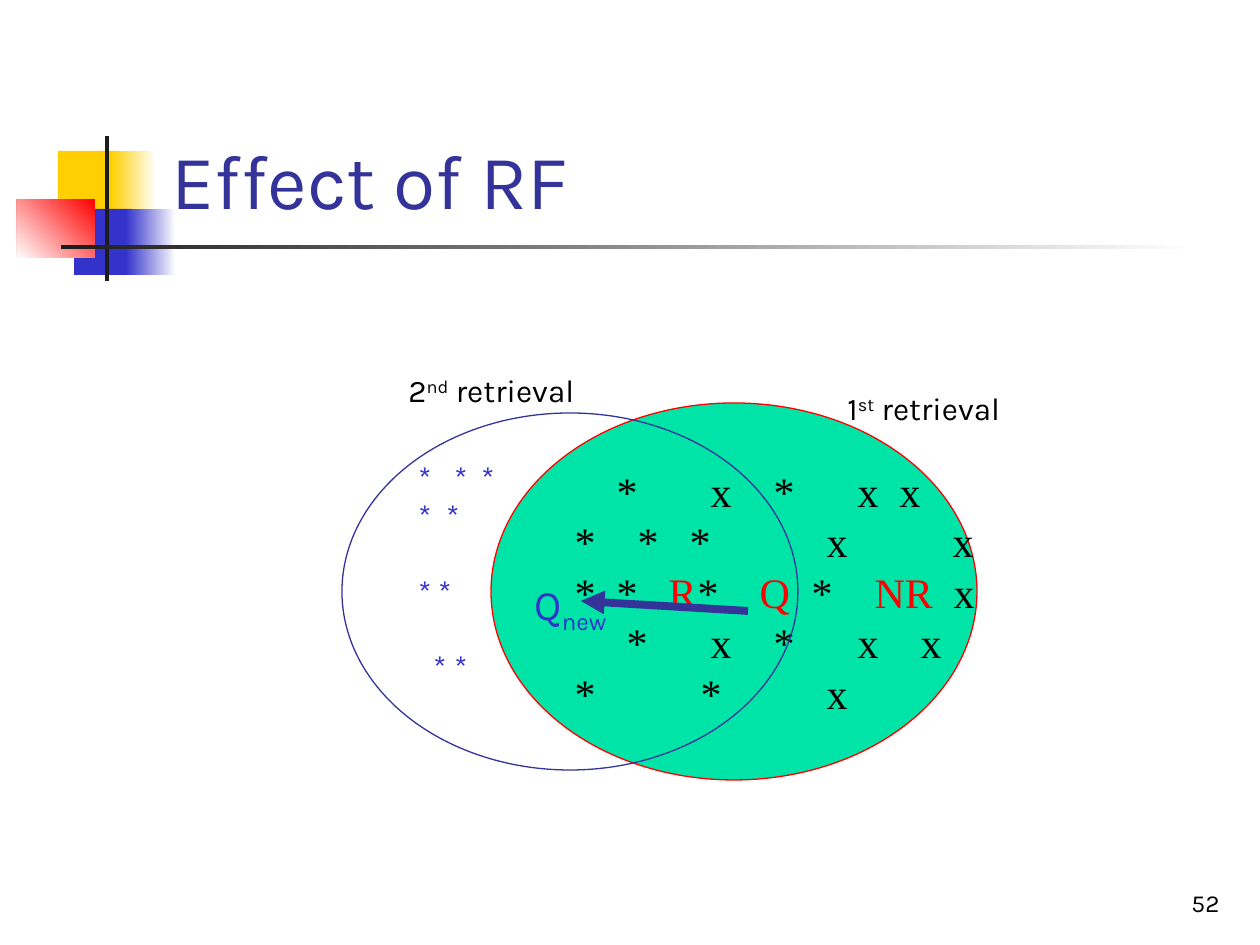
from lxml.etree import SubElement
from pptx import Presentation
from pptx.dml.color import RGBColor
from pptx.enum.shapes import MSO_CONNECTOR, MSO_SHAPE
from pptx.enum.text import MSO_ANCHOR, MSO_AUTO_SIZE, PP_ALIGN
from pptx.oxml.ns import qn
from pptx.util import Inches, Pt

PX = 7257
BLUE, NAVY, RED, BLACK, WHITE = "3333CC", "333399", "FF0000", "000000", "FFFFFF"


def color(value):
    return RGBColor.from_string(value)


def add_text(paragraph, text, size=18, fill=BLACK, font="Karla", baseline=0):
    run = paragraph.add_run()
    run.text = text
    run.font.size = Pt(size)
    run.font.name = font
    run.font.color.rgb = color(fill)
    if baseline:
        run.font._element.set("baseline", str(baseline * 1000))


presentation = Presentation()
presentation.slide_width = Inches(10)
presentation.slide_height = Inches(7.5)
slide = presentation.slides.add_slide(presentation.slide_layouts[5])
shapes = slide.shapes

decorations = [
    (58, 151, 60, 66, "FFCF01", None, None),
    (111, 151, 45, 66, "FFCF01", WHITE, 0),
    (74, 209, 58, 66, BLUE, None, None),
    (126, 209, 50, 66, BLUE, WHITE, 0),
    (17, 199, 78, 59, RED, WHITE, 225),
    (105, 136, 4, 145, "1C1C1C", None, None),
    (61, 245, 1134, 4, "1C1C1C", WHITE, 0),
]
for left, top, width, height, start, end, angle in decorations:
    shape = shapes.add_shape(MSO_SHAPE.RECTANGLE, left * PX, top * PX, width * PX, height * PX)
    shape.shadow.inherit = False
    shape.line.fill.background()
    if end:
        shape.fill.gradient()
        shape.fill.gradient_angle = angle
        for stop, value in zip(shape.fill.gradient_stops, (start, end)):
            stop.color.rgb = color(value)
    else:
        shape.fill.solid()
        shape.fill.fore_color.rgb = color(start)

title = shapes.title
title.left, title.top, title.width, title.height = 159 * PX, 29 * PX, 1074 * PX, 202 * PX
title.text_frame.auto_size = MSO_AUTO_SIZE.NONE
title.text_frame.vertical_anchor = MSO_ANCHOR.BOTTOM
title.text_frame.paragraphs[0].alignment = PP_ALIGN.LEFT
add_text(title.text_frame.paragraphs[0], "Effect of RF", size=44, fill=NAVY)

first_retrieval = shapes.add_shape(MSO_SHAPE.OVAL, 491 * PX, 403 * PX, 486 * PX, 377 * PX)
first_retrieval.fill.solid()
first_retrieval.fill.fore_color.rgb = color("00E4A8")
first_retrieval.line.color.rgb = color(RED)

arrow = shapes.add_connector(MSO_CONNECTOR.STRAIGHT, 748 * PX, 611 * PX, 581 * PX, 601 * PX)
arrow.line.color.rgb = color(NAVY)
arrow.line.width = Pt(4.5)
SubElement(arrow.line._get_or_add_ln(), qn("a:tailEnd"), type="triangle")
SubElement(arrow._element.spPr, qn("a:effectLst"))

second_retrieval = shapes.add_shape(MSO_SHAPE.OVAL, 342 * PX, 413 * PX, 456 * PX, 357 * PX)
second_retrieval.fill.background()
second_retrieval.line.color.rgb = color(NAVY)

for ellipse in (first_retrieval, second_retrieval):
    ellipse.shadow.inherit = False
    ellipse.line.width = Pt(0.75)

labels = [
    (522, 572, 110, 70, [("Q", 0), ("new", -25)], 24, BLUE),
    (835, 383, 195, 50, [("1", 0), ("st", 30), (" retrieval", 0)], 18, BLACK),
    (396, 365, 200, 50, [("2", 0), ("nd", 30), (" retrieval", 0)], 18, BLACK),
]
for left, top, width, height, parts, size, fill in labels:
    label = shapes.add_textbox(left * PX, top * PX, width * PX, height * PX)
    label.text_frame.word_wrap = True
    for text, baseline in parts:
        add_text(label.text_frame.paragraphs[0], text, size=size, fill=fill, baseline=baseline)

new_documents = shapes.add_textbox(406 * PX, 452 * PX, 150 * PX, 240 * PX)
new_documents.text_frame.word_wrap = True
first_retrieval.text_frame.word_wrap = False
first_retrieval.text_frame.vertical_anchor = MSO_ANCHOR.MIDDLE

first_rows = [
    (0, [(42, "*"), (136, "x"), (199, "*"), (283, "x"), (325, "x")]),
    (0, [(0, "*"), (63, "*"), (115, "*"), (252, "x"), (378, "x")]),
    (0, [(0, "*"), (42, "*"), (94, "R"), (123, "*"), (185, "Q"), (237, "*"), (300, "NR"), (379, "x")]),
    (0, [(52, "*"), (136, "x"), (199, "*"), (283, "x"), (346, "x")]),
    (0, [(0, "*"), (126, "*"), (252, "x")]),
]
new_rows = [
    (0, [(0, "*"), (36, "*"), (63, "*")]),
    (0, [(0, "*"), (28, "*")]),
    (1, [(0, "*"), (20, "*")]),
    (1, [(15, "*"), (36, "*")]),
]
mark_groups = [
    (first_retrieval, first_rows, 24, "Times New Roman", BLACK, 28.8),
    (new_documents, new_rows, 18, "Karla", BLUE, 21.6),
]
for shape, rows, size, font, fill, pitch in mark_groups:
    frame = shape.text_frame
    for index, (skipped_lines, marks) in enumerate(rows):
        paragraph = frame.add_paragraph() if index else frame.paragraphs[0]
        paragraph.alignment = PP_ALIGN.LEFT
        paragraph.line_spacing = Pt(pitch)
        if skipped_lines:
            paragraph.space_before = Pt(pitch * skipped_lines)
        tabs = SubElement(paragraph._p.get_or_add_pPr(), qn("a:tabLst"))
        for offset, mark in marks:
            if offset:
                SubElement(tabs, qn("a:tab"), pos=str(offset * PX), algn="l")
            add_text(paragraph, "\t" + mark if offset else mark, size=size, font=font,
                     fill=RED if mark in ("R", "Q", "NR") else fill)

number = shapes.add_textbox(970 * PX, 861 * PX, 262 * PX, 63 * PX)
number.text_frame.word_wrap = True
number.text_frame.vertical_anchor = MSO_ANCHOR.BOTTOM
number.text_frame.paragraphs[0].alignment = PP_ALIGN.RIGHT
add_text(number.text_frame.paragraphs[0], "52", size=14)

presentation.save("out.pptx")
